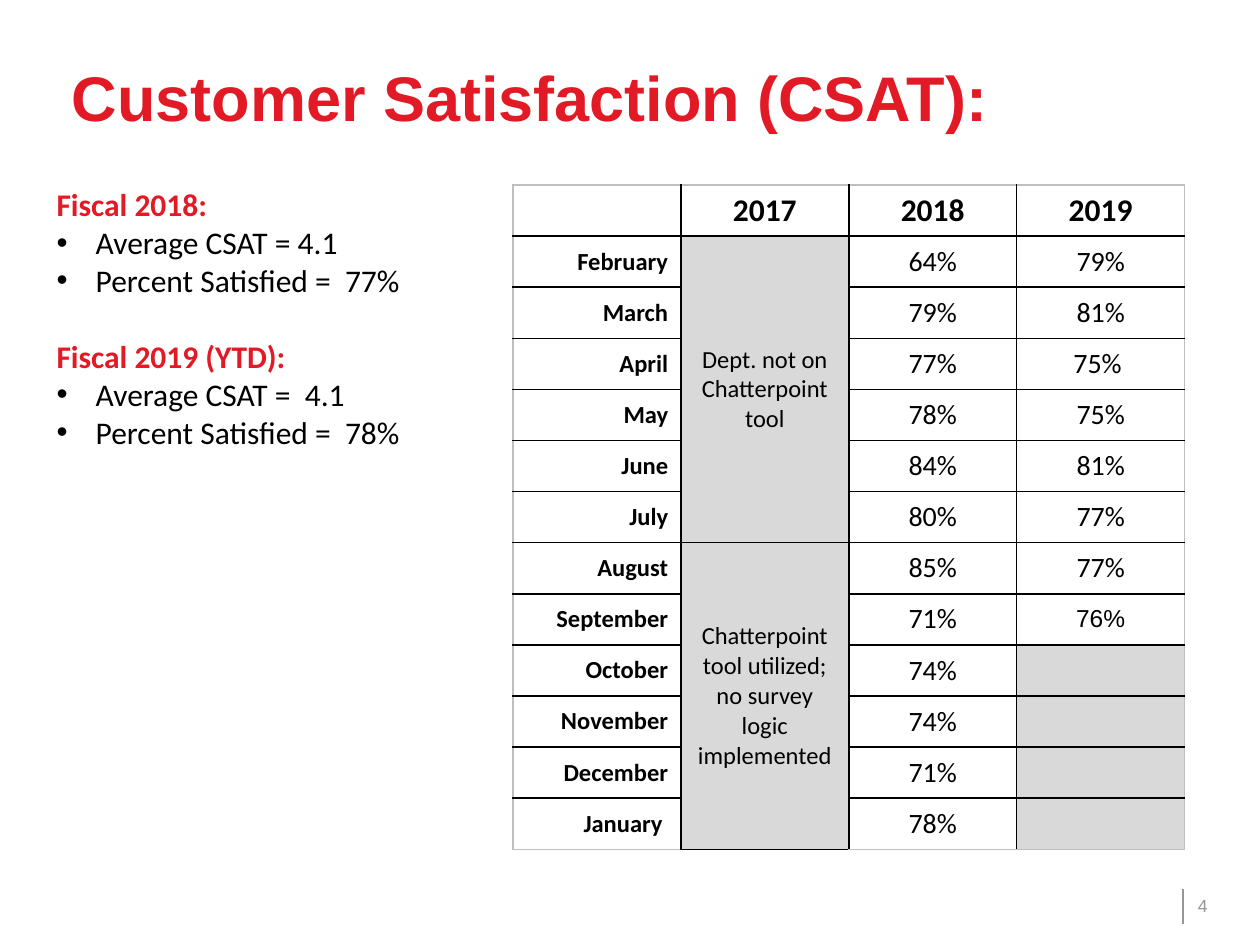
from lxml.etree import SubElement
from pptx import Presentation
from pptx.dml.color import RGBColor
from pptx.enum.shapes import MSO_CONNECTOR as Connector
from pptx.enum.text import MSO_ANCHOR as Anchor, PP_ALIGN as Align
from pptx.oxml.ns import qn
from pptx.util import Cm, Pt

RED = RGBColor(0xE1, 0x1A, 0x25)
BLACK = RGBColor(0x00, 0x00, 0x00)
WHITE = RGBColor(0xFF, 0xFF, 0xFF)
SHADE = RGBColor(0xD9, 0xD9, 0xD9)
EDGE = RGBColor(0xBF, 0xBF, 0xBF)
GREY = RGBColor(0x96, 0x96, 0x96)

HEADINGS = ["", "2017", "2018", "2019"]
SCORES = [
    ("February", "64%", "79%"),
    ("March", "79%", "81%"),
    ("April", "77%", "75% "),
    ("May", "78%", "75%"),
    ("June", "84%", "81%"),
    ("July", "80%", "77%"),
    ("August", "85%", "77%"),
    ("September", "71%", "76%"),
    ("October", "74%", ""),
    ("November", "74%", ""),
    ("December", "71%", ""),
    ("January ", "78%", ""),
]
NOTES_2017 = {
    1: "Dept. not on Chatterpoint tool",
    7: "Chatterpoint tool utilized; no survey logic implemented",
}
NOTE_ROWS = 6
SUMMARY = {
    "Fiscal 2018:": ["Average CSAT = 4.1", "Percent Satisfied =  77%"],
    "Fiscal 2019 (YTD):": ["Average CSAT =  4.1", "Percent Satisfied =  78%"],
}


def write(paragraph, text, size=18, font="Calibri", color=BLACK, bold=False,
          align=Align.LEFT, bullet=False, before=0):
    paragraph.alignment = align
    paragraph.space_before = Pt(before)
    if bullet:
        properties = paragraph._p.get_or_add_pPr()
        properties.set("marL", str(Cm(0.79)))
        properties.set("indent", str(-Cm(0.79)))
        SubElement(properties, qn("a:buFont"), typeface="Arial")
        SubElement(properties, qn("a:buChar"), char="•")
    run = paragraph.add_run()
    run.text = text
    run.font.size = Pt(size)
    run.font.name = font
    run.font.bold = bold
    run.font.color.rgb = color


class SlideBuilder:
    def __init__(self, slide):
        self.slide = slide

    def text_box(self, left, top, width, height, inset_left=0.25,
                 inset_top=0.13, anchor=Anchor.TOP):
        shape = self.slide.shapes.add_textbox(
            Cm(left), Cm(top), Cm(width), Cm(height))
        frame = shape.text_frame
        frame.word_wrap = True
        frame.margin_left = Cm(inset_left)
        frame.margin_top = Cm(inset_top)
        frame.vertical_anchor = anchor
        return frame

    def line(self, x1, y1, x2, y2, color, width=0.75):
        connector = self.slide.shapes.add_connector(
            Connector.STRAIGHT, Cm(x1), Cm(y1), Cm(x2), Cm(y2))
        connector.line.color.rgb = color
        connector.line.width = Pt(width)
        SubElement(connector._element.spPr, qn("a:effectLst"))

    def summary(self, frame, groups):
        paragraph = frame.paragraphs[0]
        for index, (heading, items) in enumerate(groups.items()):
            if index:
                paragraph = frame.add_paragraph()
            write(paragraph, heading, color=RED, bold=True,
                  before=22 if index else 0)
            for item in items:
                write(frame.add_paragraph(), item, bullet=True)

    def table(self, left, top, width, height, rows, columns):
        frame = self.slide.shapes.add_table(
            rows, columns, Cm(left), Cm(top), Cm(width), Cm(height))
        table = frame.table
        table.first_row = False
        table.horz_banding = False
        for row in range(rows):
            for column in range(columns):
                cell = table.cell(row, column)
                self.borders(cell, {
                    "L": column == 0, "R": column == columns - 1,
                    "T": row == 0, "B": row == rows - 1})
                self.fill(cell, WHITE)
        return table

    def borders(self, cell, outer_sides):
        properties = cell._tc.get_or_add_tcPr()
        for side, is_outer in outer_sides.items():
            line = SubElement(properties, qn(f"a:ln{side}"), w=str(Pt(1)))
            fill = SubElement(line, qn("a:solidFill"))
            color = EDGE if is_outer else BLACK
            SubElement(fill, qn("a:srgbClr"), val=str(color))

    def fill(self, cell, color):
        cell.fill.solid()
        cell.fill.fore_color.rgb = color

    def cell_text(self, cell, text, **style):
        cell.vertical_anchor = Anchor.MIDDLE
        write(cell.text_frame.paragraphs[0], text, **style)


def fill_scores(builder, table):
    for column, heading in enumerate(HEADINGS):
        if heading:
            builder.cell_text(table.cell(0, column), heading,
                              bold=True, align=Align.CENTER)
    for row, (month, *values) in enumerate(SCORES, start=1):
        builder.cell_text(table.cell(row, 0), month, size=14, bold=True,
                          align=Align.RIGHT)
        for column, value in enumerate(values, start=2):
            cell = table.cell(row, column)
            if not value:
                builder.fill(cell, SHADE)
                continue
            style = {"size": 16}
            if (month, column) == ("September", 3):
                style = {"size": 14, "font": "Arial"}
            builder.cell_text(cell, value, align=Align.CENTER, **style)
    for row, note in NOTES_2017.items():
        cell = table.cell(row, 1)
        cell.merge(table.cell(row + NOTE_ROWS - 1, 1))
        builder.fill(cell, SHADE)
        builder.cell_text(cell, note, size=14, align=Align.CENTER)


def main():
    presentation = Presentation()
    presentation.slide_width = Cm(25.4)
    presentation.slide_height = Cm(19.05)
    slide = presentation.slides.add_slide(presentation.slide_layouts[6])
    builder = SlideBuilder(slide)

    number = builder.text_box(23.9, 17.9, 1.12, 0.69, anchor=Anchor.MIDDLE)
    write(number.paragraphs[0], "4", size=10, font="Arial", color=GREY)
    builder.line(23.85, 17.93, 23.85, 18.62, GREY)

    title = builder.text_box(0, 0.91, 25.4, 3.68,
                             inset_left=1.45, inset_top=0.28)
    write(title.paragraphs[0], "Customer Satisfaction (CSAT):",
          size=36, font="Arial", color=RED, bold=True)

    builder.summary(builder.text_box(0.89, 3.61, 9.02, 5.64), SUMMARY)

    table = builder.table(10.34, 3.73, 13.54, 13.39,
                          len(SCORES) + 1, len(HEADINGS))
    fill_scores(builder, table)
    presentation.save("out.pptx")


if __name__ == "__main__":
    main()
